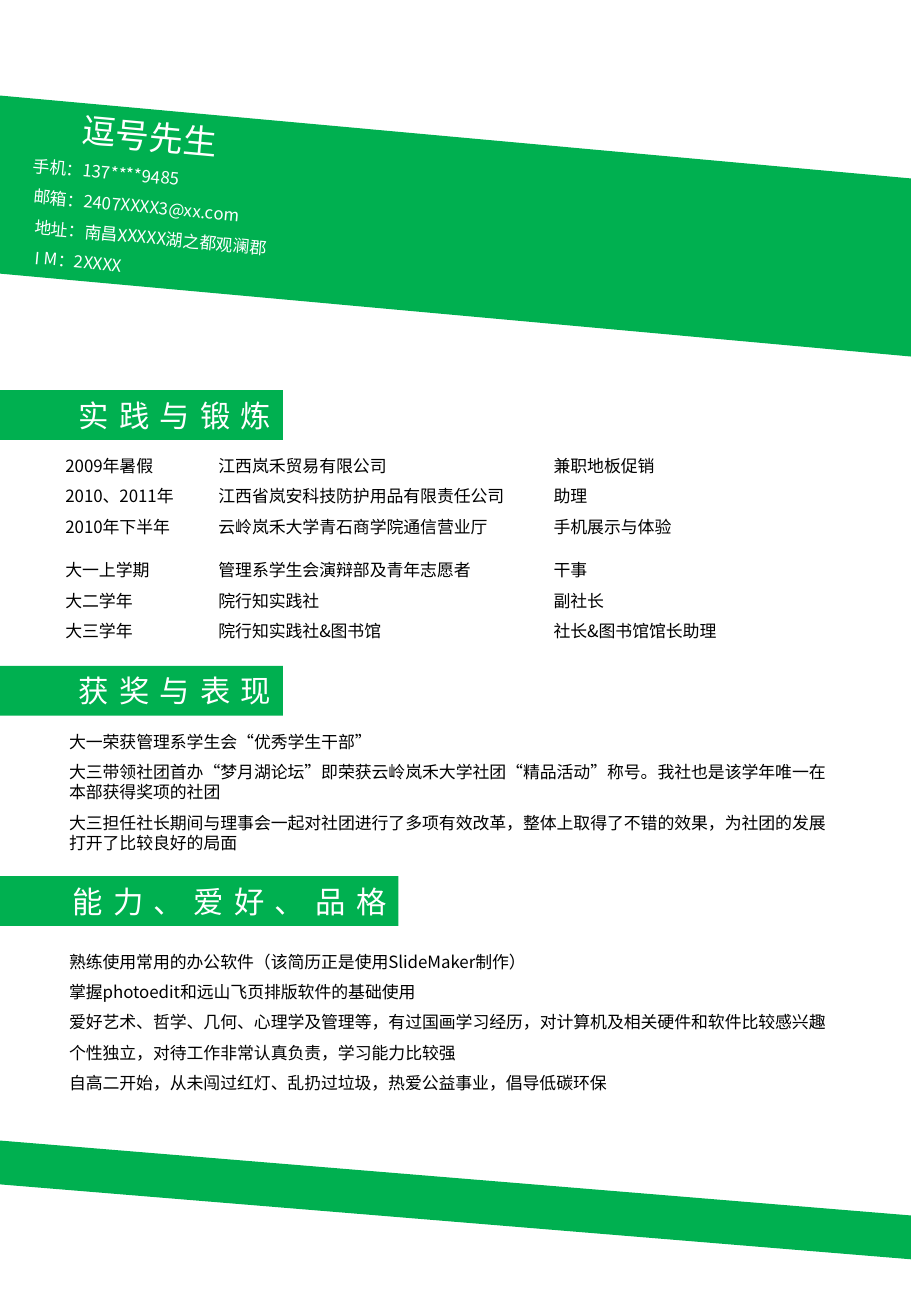
"""Build a one-page green resume slide."""
from pptx import Presentation
from pptx import util as u
from pptx.dml.color import RGBColor
from pptx.enum import shapes, text
from pptx.oxml.ns import qn
from lxml import etree

NAME = "逗号先生"
CONTACTS = ["手机：137****9485", "邮箱：2407XXXX3@xx.com",
            "地址：南昌XXXXX湖之都观澜郡", "I M：2XXXX"]
EXPERIENCE = [
    (3.7, [("2009年暑假", "江西岚禾贸易有限公司", "兼职地板促销"),
           ("2010、2011年", "江西省岚安科技防护用品有限责任公司", "助理"),
           ("2010年下半年", "云岭岚禾大学青石商学院通信营业厅", "手机展示与体验")]),
    (4.56, [("大一上学期", "管理系学生会演辩部及青年志愿者", "干事"),
            ("大二学年", "院行知实践社", "副社长"),
            ("大三学年", "院行知实践社&图书馆", "社长&图书馆馆长助理")]),
]
COLUMNS = [(0.44, 1.43), (1.7, 2.68), (4.46, 1.8)]
AWARDS = [
    "大一荣获管理系学生会“优秀学生干部”",
    "大三带领社团首办“梦月湖论坛”即荣获云岭岚禾大学社团“精品活动”称号。我社也是该学年唯一在本部获得奖项的社团",
    "大三担任社长期间与理事会一起对社团进行了多项有效改革，整体上取得了不错的效果，为社团的发展打开了比较良好的局面",
]
SKILLS = [
    "熟练使用常用的办公软件（该简历正是使用SlideMaker制作）",
    "掌握photoedit和远山飞页排版软件的基础使用",
    "爱好艺术、哲学、几何、心理学及管理等，有过国画学习经历，对计算机及相关硬件和软件比较感兴趣",
    "个性独立，对待工作非常认真负责，学习能力比较强",
    "自高二开始，从未闯过红灯、乱扔过垃圾，热爱公益事业，倡导低碳环保",
]
NOTES = [((0.47, 5.97, 6.51, 1.11), AWARDS), ((0.47, 7.78, 6.67, 1.28), SKILLS)]
HEADINGS = [("实践与锻炼", 3.21, 2.33), ("获奖与表现", 5.48, 2.33),
            ("能力、爱好、品格", 7.21, 3.28)]
THEME = {"font": "Noto Sans CJK SC", "green": RGBColor(0x00, 0xB0, 0x50),
         "white": RGBColor(0xFF, 0xFF, 0xFF), "black": RGBColor(0, 0, 0),
         "name": 20, "heading": 18, "body": 10, "tracking": 6, "leading": 1.2}


def place(sp, box, rotation=0):
    values = dict(zip(("left", "top", "width", "height"), map(u.Inches, box)))
    for key, value in {**values, "rotation": rotation}.items():
        setattr(sp, key, value)


def paint(sp):
    sp.fill.solid()
    sp.fill.fore_color.rgb = THEME["green"]
    sp.line.fill.background()


def add_bar(slide, box, rotation=0):
    sp = slide.shapes.add_shape(shapes.MSO_SHAPE.RECTANGLE, *map(u.Inches, box))
    sp.rotation = rotation
    sp.shadow.inherit = False
    paint(sp)
    return sp


def write(sp, lines, size, color, anchor=text.MSO_ANCHOR.TOP,
          align=text.PP_ALIGN.LEFT, after=6, tracking=0):
    tf = sp.text_frame
    for key, value in {"word_wrap": True, "vertical_anchor": anchor,
                       "auto_size": text.MSO_AUTO_SIZE.NONE}.items():
        setattr(tf, key, value)
    for i, line in enumerate(lines):
        p = tf.paragraphs[0] if i == 0 else tf.add_paragraph()
        r = p.add_run()
        r.text = line
        style(p, size, color, align, after)
        if tracking:
            r.font._element.set("spc", str(tracking * 100))
    return tf


def style(p, size, color, align=text.PP_ALIGN.LEFT, after=6):
    for key, value in {"alignment": align, "space_before": u.Pt(0),
                       "space_after": u.Pt(after),
                       "line_spacing": u.Pt(size * THEME["leading"])}.items():
        setattr(p, key, value)
    for r in p.runs:
        for key, value in {"size": u.Pt(size), "name": THEME["font"]}.items():
            setattr(r.font, key, value)
        r.font.color.rgb = color
        rpr = r.font._element
        if rpr.find(qn("a:ea")) is None:
            etree.SubElement(rpr, qn("a:ea")).set("typeface", THEME["font"])


def add_text(slide, box, lines):
    sp = slide.shapes.add_textbox(*map(u.Inches, box))
    write(sp, lines, THEME["body"], THEME["black"])


def add_header(slide):
    sp = slide.shapes.title
    place(sp, (-0.22, 1.13, 7.93, 1.46), 5.2)
    paint(sp)
    tf = write(sp, [NAME, *CONTACTS], THEME["body"], THEME["white"])
    for key in ("left", "right", "top", "bottom"):
        setattr(tf, f"margin_{key}", u.Inches(0.1 if key in ("left", "right") else 0.05))
    style(tf.paragraphs[0], THEME["name"], THEME["white"])
    indents = [0.74] + [0.36 + 0.03 * i for i in range(len(CONTACTS))]
    for p, indent in zip(tf.paragraphs, indents):
        ppr = p._p.get_or_add_pPr()
        ppr.set("marL", str(u.Inches(indent)))
        ppr.set("indent", "0")


def main():
    prs = Presentation()
    prs.slide_width, prs.slide_height = u.Inches(7.5), u.Inches(10.83)
    slide = prs.slides.add_slide(prs.slide_layouts[5])
    add_header(slide)
    for top, rows in EXPERIENCE:
        for (left, width), lines in zip(COLUMNS, zip(*rows)):
            add_text(slide, (left, top, width, 0.77), lines)
    for box, lines in NOTES:
        add_text(slide, box, lines)
    for heading, top, width in HEADINGS:
        write(add_bar(slide, (0, top, width, 0.41)), [heading], THEME["heading"],
              THEME["white"], text.MSO_ANCHOR.MIDDLE, text.PP_ALIGN.RIGHT, 0,
              THEME["tracking"])
    add_bar(slide, (-0.4, 9.71, 8.66, 0.36), 4.7)
    prs.save("out.pptx")


if __name__ == "__main__":
    main()
